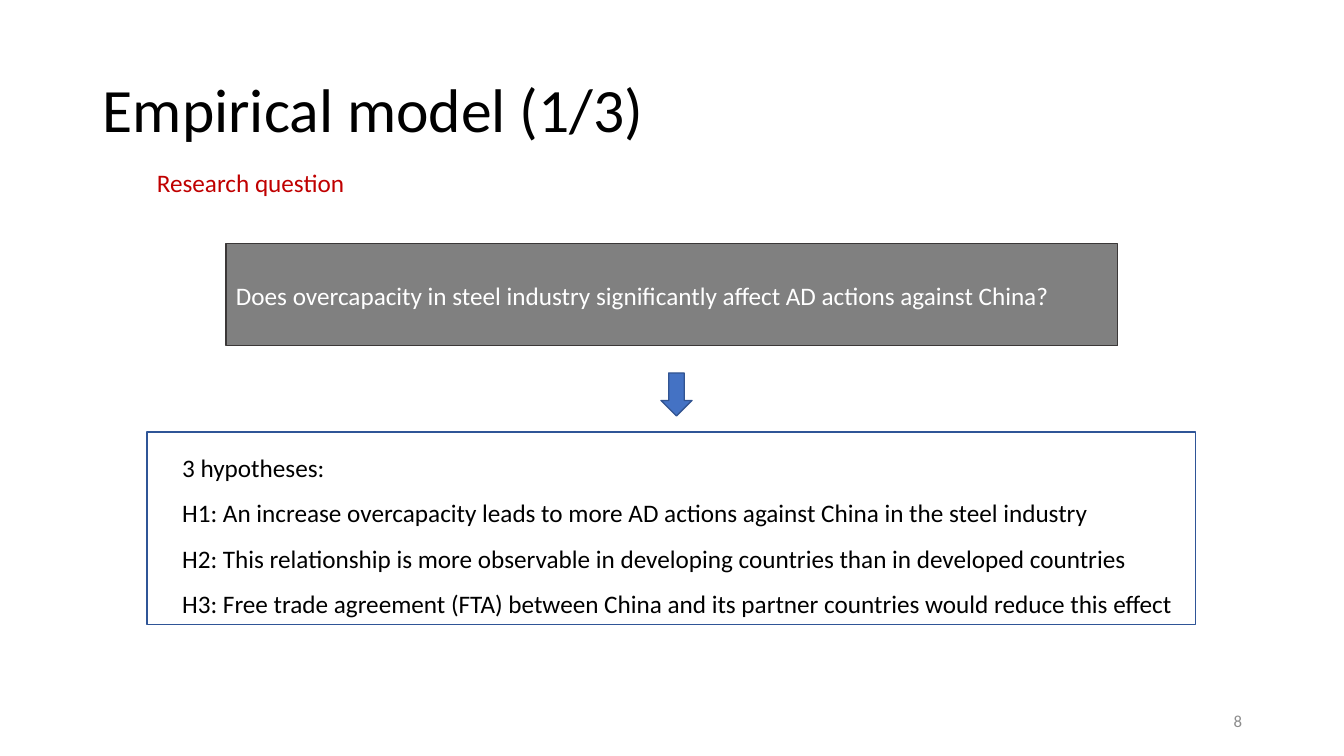
"""Build the slide on the empirical model, its research question and hypotheses."""
from pptx import Presentation, util as u
from pptx.dml.color import RGBColor
from pptx.enum import shapes, text

SCALE = 914400 / 100.8
LEFT, TOP, MIDDLE = text.PP_ALIGN.LEFT, text.MSO_ANCHOR.TOP, text.MSO_ANCHOR.MIDDLE
HYPOTHESES = [
    "3 hypotheses:",
    "H1: An increase overcapacity leads to more AD actions against China in the steel industry",
    "H2: This relationship is more observable in developing countries than in developed countries",
    "H3: Free trade agreement (FTA) between China and its partner countries would reduce this effect",
]


def px(length):
    """Turn pixels into EMU."""
    return u.Emu(round(length * SCALE))


def color(value):
    """Turn a hex string into a colour."""
    return RGBColor.from_string(value)


def write(shape, lines, size, ink, align=LEFT, anchor=TOP, spacing=1.0):
    """Fill a shape with one paragraph per line and return the paragraphs."""
    frame = shape.text_frame
    frame.word_wrap = True
    frame.vertical_anchor = anchor
    for index, line in enumerate(lines):
        para = frame.add_paragraph() if index else frame.paragraphs[0]
        para.alignment = align
        para.line_spacing = spacing
        span = para.add_run()
        span.text = line
        span.font.name = "Calibri"
        span.font.size = u.Pt(size)
        span.font.color.rgb = color(ink)
    return frame.paragraphs


def add_label(page, box, line, size, ink, **layout):
    """Add a text box with one line."""
    label = page.shapes.add_textbox(*map(px, box))
    write(label, [line], size, ink, **layout)


def add_block(page, kind, box, fill, outline, width):
    """Add a preset shape with its fill and outline."""
    block = page.shapes.add_shape(kind, *map(px, box))
    block.shadow.inherit = False
    if fill:
        block.fill.solid()
        block.fill.fore_color.rgb = color(fill)
    else:
        block.fill.background()
    block.line.color.rgb = color(outline)
    block.line.width = u.Pt(width)
    return block


def add_heading(page, box):
    """Add the title and the caption that overlaps its lower edge."""
    left, top, width, height = box
    add_label(page, box, "Empirical model (1/3)", 44, "000000", anchor=MIDDLE, spacing=0.9)
    add_label(page, (left + 54, top + 122, 245, 40), "Research question", 18, "C00000")


def add_argument(page, box):
    """Add the question, the arrow and the hypotheses from top to bottom."""
    left, top, width, height = box
    rectangle = shapes.MSO_SHAPE.RECTANGLE
    question = add_block(page, rectangle, (left + 79, top, 892, 102), "808080", "3B3838", 0.75)
    write(question, ["Does overcapacity in steel industry significantly affect AD actions against China?"],
          18, "FFFFFF", anchor=MIDDLE)
    add_block(page, shapes.MSO_SHAPE.DOWN_ARROW, (left + 514, top + 129, 31, 43),
              "4472C4", "325491", 1)
    hypotheses = add_block(page, rectangle, (left, top + height - 193, width, 193),
                           None, "2F5597", 0.75)
    paras = write(hypotheses, HYPOTHESES, 18, "000000", text.PP_ALIGN.JUSTIFY, spacing=1.5)
    for para in paras:
        para._p.get_or_add_pPr().set("marL", str(u.Inches(0.25)))
    paras[-1].space_after = u.Pt(8)


def main():
    """Build the deck and save it."""
    deck = Presentation()
    deck.slide_width, deck.slide_height = px(1344), px(756)
    page = deck.slides.add_slide(deck.slide_layouts[6])
    add_heading(page, (93, 40, 1159, 146))
    add_argument(page, (147, 244, 1049, 381))
    add_label(page, (949, 701, 303, 40), "8", 12, "8C8C8C",
              align=text.PP_ALIGN.RIGHT, anchor=MIDDLE)
    deck.save("out.pptx")


if __name__ == "__main__":
    main()
